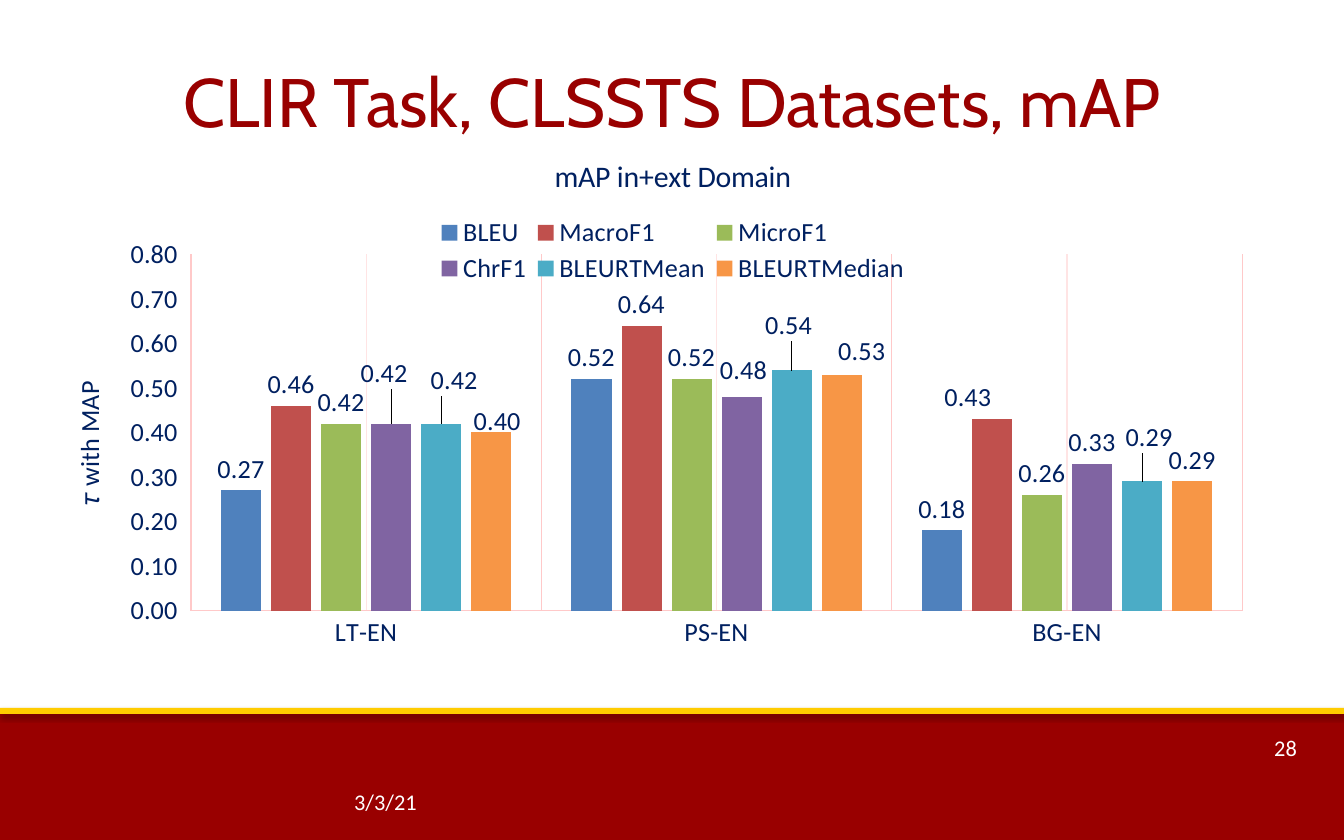
from copy import deepcopy

from lxml import etree
from pptx import Presentation
from pptx.chart.data import CategoryChartData
from pptx.dml.color import RGBColor
from pptx.enum.chart import XL_CHART_TYPE, XL_LABEL_POSITION, XL_LEGEND_POSITION, XL_TICK_MARK
from pptx.enum.shapes import MSO_SHAPE
from pptx.enum.text import MSO_ANCHOR, PP_ALIGN
from pptx.oxml import parse_xml
from pptx.oxml.ns import qn
from pptx.util import Inches, Pt

COLUMNS = XL_CHART_TYPE.COLUMN_CLUSTERED
OUTSIDE = XL_LABEL_POSITION.OUTSIDE_END
TOP = XL_LEGEND_POSITION.TOP
NO_TICK, TICK_OUT = XL_TICK_MARK.NONE, XL_TICK_MARK.OUTSIDE
RECT = MSO_SHAPE.RECTANGLE
MIDDLE, CENTER = MSO_ANCHOR.MIDDLE, PP_ALIGN.CENTER

rgb = RGBColor.from_string
NAVY, CRIMSON, PINK, PALE_PINK = "002060", "990000", "FFC9C9", "FFE4E4"
CHART_BOX = (66, 133, 1214, 535)


def px(*lengths):
    return [round(v * 914400 / 134.4) for v in lengths]


def place(parent, index, **values):
    """Put a manual chart layout at the given child index."""
    for old in parent.findall(qn("c:layout")):
        parent.remove(old)
    layout = etree.Element(qn("c:layout"))
    manual = etree.SubElement(layout, qn("c:manualLayout"))
    for tag, value in values.items():
        etree.SubElement(manual, qn("c:" + tag), val=str(value))
    parent.insert(index, layout)


prs = Presentation()
prs.slide_width, prs.slide_height = Inches(10), Inches(6.25)
s = prs.slides.add_slide(prs.slide_layouts[5])

# Footer bands: top, height, fill, shadow opacity, blur and distance
for top, height, fill, opacity, blur, dist in [
    (711, 129, CRIMSON, 35, 3.1, 1.8),
    (708, 6, "FFCC00", 38, 3.1, 1.6),
]:
    sp = s.shapes.add_shape(RECT, *px(0, top, 1344, height))
    sp.fill.solid()
    sp.fill.fore_color.rgb = rgb(fill)
    sp.line.fill.background()
    sp.shadow.inherit = False
    effects = sp._element.spPr.find(qn("a:effectLst"))
    effects.append(parse_xml(
        '<a:outerShdw xmlns:a="http://schemas.openxmlformats.org/drawingml/2006/main" '
        f'blurRad="{Pt(blur)}" dist="{Pt(dist)}" dir="5400000" rotWithShape="0">'
        f'<a:srgbClr val="000000"><a:alpha val="{opacity * 1000}"/></a:srgbClr></a:outerShdw>'))

for text, box in [("28", (1261, 728, 54, 40)), ("3/3/21", (341, 782, 91, 40))]:
    tf = s.shapes.add_textbox(*px(*box)).text_frame
    tf.word_wrap = False
    r = tf.paragraphs[0].add_run()
    r.text = text
    r.font.size, r.font.name = Pt(12), "Calibri"
    r.font.color.rgb = rgb("FFFFFF")

title = s.shapes.title
title.left, title.top, title.width, title.height = px(93, 42, 1158, 116)
tf = title.text_frame
tf.vertical_anchor = MIDDLE
p = tf.paragraphs[0]
p.alignment = CENTER
r = p.add_run()
r.text = "CLIR Task, CLSSTS Datasets, mAP"
r.font.size, r.font.name = Pt(36.7), "Cabin"
r.font.color.rgb = rgb(CRIMSON)

# Metric: values, colour, label shifts in px by category index
metrics = {
    "BLEU": ((0.27, 0.52, 0.18), "4F81BD", {}),
    "MacroF1": ((0.46, 0.64, 0.43), "C0504D", {2: (-24, 0)}),
    "MicroF1": ((0.42, 0.52, 0.26), "9BBB59", {}),
    "ChrF1": ((0.42, 0.48, 0.33), "8064A2", {0: (-7, -29), 1: (2, -5)}),
    "BLEURTMean": ((0.42, 0.54, 0.29), "4BACC6", {0: (13, -22), 1: (-3, -23), 2: (7, -23)}),
    "BLEURTMedian": ((0.40, 0.53, 0.29), "F79646", {0: (6, 10), 1: (20, -2)}),
}
data = CategoryChartData(number_format="0.00")
data.categories = ["LT-EN", "PS-EN", "BG-EN"]
for name, (values, _, _) in metrics.items():
    data.add_series(name, values)
chart = s.shapes.add_chart(COLUMNS, *px(*CHART_BOX), data).chart
plot, cat, val = chart.plots[0], chart.category_axis, chart.value_axis
plot.gap_width, plot.overlap, plot.vary_by_categories = 150, -25, False
fonts = [chart.font, cat.tick_labels.font, val.tick_labels.font]

for series, (_, color, shifts) in zip(plot.series, metrics.values()):
    series.format.fill.solid()
    series.format.fill.fore_color.rgb = rgb(color)
    labels = series.data_labels
    labels.show_value, labels.position = True, OUTSIDE
    labels.number_format, labels.number_format_is_linked = "0.00", False
    fonts.append(labels.font)
    for i, (dx, dy) in shifts.items():
        label = series.points[i].data_label
        label.position = OUTSIDE
        fonts.append(label.font)
        place(labels._element.findall(qn("c:dLbl"))[-1], 1,
              x=round(dx / CHART_BOX[2], 4), y=round(dy / CHART_BOX[3], 4))

cat.major_tick_mark = NO_TICK
cat.has_major_gridlines = cat.has_minor_gridlines = True
for part in (cat, cat.major_gridlines):
    part.format.line.color.rgb = rgb(PINK)
    part.format.line.width = Pt(0.75)
# Minor gridlines repeat the major line style in a paler colour
major, minor = [cat._element.find(qn(f"c:{kind}Gridlines")) for kind in ("major", "minor")]
minor.append(deepcopy(major.find(qn("c:spPr"))))
next(minor.iter(qn("a:srgbClr"))).set("val", PALE_PINK)

val.minimum_scale, val.maximum_scale, val.major_unit = 0, 0.8, 0.1
val.has_major_gridlines = False
val.major_tick_mark = TICK_OUT
val.format.line.fill.background()
val.tick_labels.number_format = "0.00"
val.tick_labels.number_format_is_linked = False

chart.has_title = True
chart.has_legend = True
chart.legend.position = TOP
chart.legend.include_in_layout = False
fonts.append(chart.legend.font)
place(chart.legend._element, 1, xMode="edge", yMode="edge", x=0.3, y=0.15, w=0.4, h=0.14)
place(plot._element.getparent(), 0, layoutTarget="inner", xMode="edge", yMode="edge",
      x=0.103, y=0.227, w=0.866, h=0.666)

for font in fonts:
    font.size, font.name, font.bold = Pt(14), "Calibri", False
    font.color.rgb = rgb(NAVY)
for owner, text, size in [(chart.chart_title, "mAP in+ext Domain", 16),
                          (val.axis_title, "𝜏 with MAP", 14)]:
    r = owner.text_frame.paragraphs[0].add_run()
    r.text = text
    r.font.size, r.font.name, r.font.bold = Pt(size), "Calibri", False
    r.font.color.rgb = rgb(NAVY)

prs.save("out.pptx")
